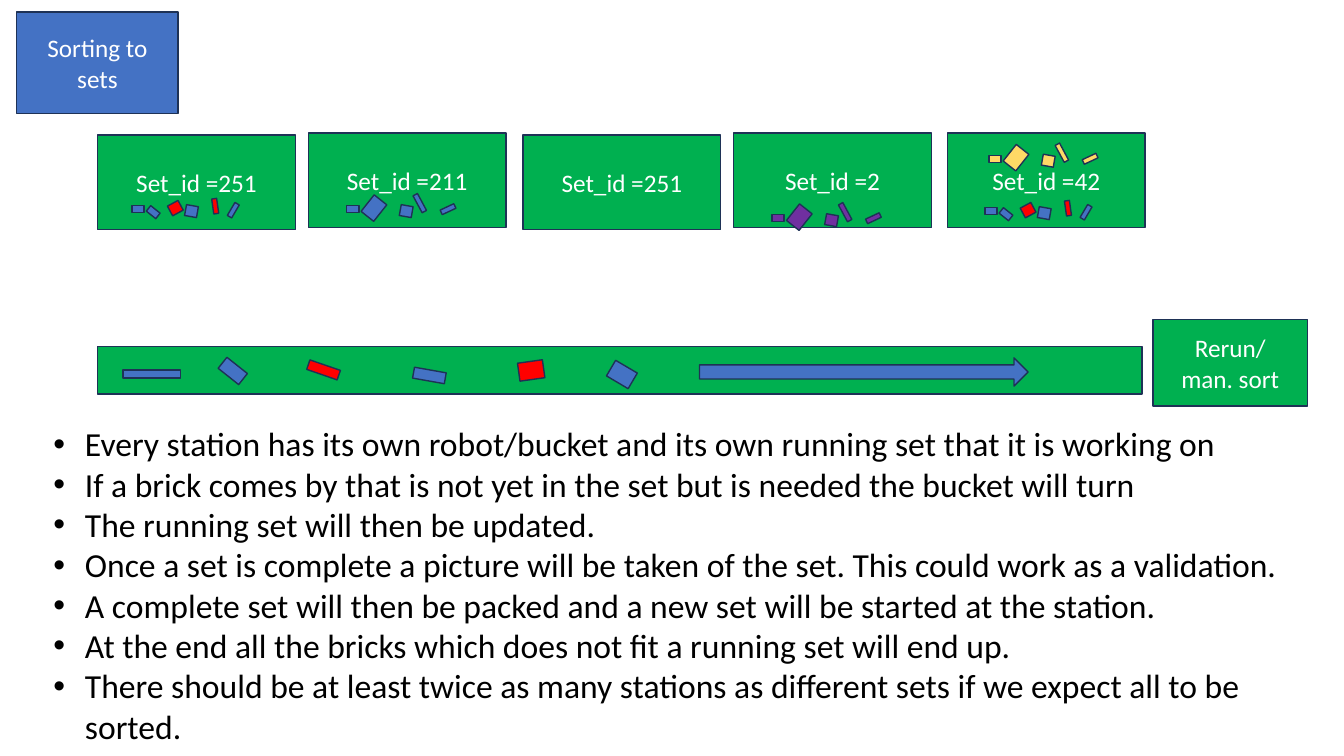
"""Build the slide on sorting bricks to sets."""
from pptx import Presentation
from pptx.dml.color import RGBColor
from pptx.enum.shapes import MSO_SHAPE
from pptx.enum.text import MSO_ANCHOR, MSO_AUTO_SIZE, PP_ALIGN
from pptx.util import Inches, Pt

RECT, ARROW = MSO_SHAPE.RECTANGLE, MSO_SHAPE.RIGHT_ARROW
LEFT, CENTER = PP_ALIGN.LEFT, PP_ALIGN.CENTER
TOP, MIDDLE = MSO_ANCHOR.TOP, MSO_ANCHOR.MIDDLE
FIXED = MSO_AUTO_SIZE.NONE

THEME = {
    "blue": "4472C4", "green": "00B050", "red": "FF0000", "gold": "FFD966",
    "plum": "7030A0", "edge": "1E3256", "white": "FFFFFF", "black": "000000",
    "font": "Calibri", "label": Pt(18), "list": Pt(24), "line": Pt(1),
}
COLS, ROWS = 160, 90
CELL = Inches(1) / 12


def write(shape, text, size="label", color="white", align=CENTER, anchor=MIDDLE, indent=0):
    frame = shape.text_frame
    frame.text = text
    frame.word_wrap = True
    frame.auto_size = FIXED
    frame.vertical_anchor = anchor
    for para in frame.paragraphs:
        para.alignment = align
        para.space_before = Pt(0)
        para.line_spacing = 1.0
        if indent:
            props = para._p.get_or_add_pPr()
            props.set("marL", str(int(indent * CELL)))
            props.set("indent", str(int(-indent * CELL)))
        para.font.name = THEME["font"]
        para.font.size = THEME[size]
        para.font.color.rgb = RGBColor.from_string(THEME[color])


def place(shape, box, fill=None, turn=0):
    shape.left, shape.top, shape.width, shape.height = (int(n * CELL) for n in box)
    shape.rotation = turn
    if fill:
        shape.fill.solid()
        shape.fill.fore_color.rgb = RGBColor.from_string(THEME[fill])
        shape.line.color.rgb = RGBColor.from_string(THEME["edge"])
        shape.line.width = THEME["line"]
    return shape


deck = Presentation()
deck.slide_width, deck.slide_height = int(COLS * CELL), int(ROWS * CELL)
slide = deck.slides.add_slide(deck.slide_layouts[1])
shapes = slide.shapes

title = place(shapes.title, (2, 1.44, 19.2, 12.1), "blue")
write(title, "Sorting to sets")

POINTS = [
    "Every station has its own robot/bucket and its own running set that it is working on",
    "If a brick comes by that is not yet in the set but is needed the bucket will turn",
    "The running set will then be updated.",
    "Once a set is complete a picture will be taken of the set. This could work as a validation.",
    "A complete set will then be packed and a new set will be started at the station.",
    "At the end all the bricks which does not fit a running set will end up.",
    "There should be at least twice as many stations as different sets if we expect all to be sorted.",
]
body = place(slide.placeholders[1], (5.16, 49.8, 150.48, 39.96))
write(body, "\n".join(POINTS), size="list", color="black", align=LEFT, anchor=TOP, indent=3.75)

BLOCKS = [
    (RECT, (11.64, 41.28, 124.32, 5.64), "green", ""),
    (ARROW, (83.28, 42.6, 39.12, 3.36), "blue", ""),
    (RECT, (137.28, 38.04, 18.36, 10.32), "green", "Rerun/\nman. sort"),
]
STATIONS = [(11.64, 16.08, 251), (36.72, 15.84, 211), (62.28, 16.08, 251),
            (87.36, 15.84, 2), (112.8, 15.84, 42)]
for left, top, number in STATIONS:
    BLOCKS.append((RECT, (left, top, 23.52, 11.28), "green", f"Set_id ={number}"))

for kind, box, fill, text in BLOCKS:
    block = place(shapes.add_shape(kind, 0, 0, 1, 1), box, fill)
    block.shadow.inherit = False
    if text:
        write(block, text)

MIXED = [
    (0, 0, 1.44, 0.84, 0, "blue"), (1.8, 0.36, 1.44, 0.84, 38.4, "blue"),
    (4.44, -0.36, 1.44, 1.32, 331.7, "red"), (6.36, 0, 1.44, 1.32, 10.1, "blue"),
    (9, -0.24, 1.8, 0.6, 262, "red"), (11.16, 0.24, 1.8, 0.6, 300.5, "blue"),
]
PLAIN = [
    (0, 0, 1.44, 0.84, 0, None), (2.28, -0.96, 1.92, 2.52, 38.4, None),
    (8.4, -1.44, 0.6, 2.28, 331.7, None), (6.36, 0, 1.44, 1.32, 10.1, None),
    (11.16, 0.12, 1.8, 0.6, 334.9, None),
]
BELT = [
    (0, 0, 6.84, 0.96, 0, "blue"), (11.52, -0.72, 3.12, 1.68, 38.4, "blue"),
    (21.96, -0.6, 3.84, 1.2, 19, "red"), (34.56, 0, 3.84, 1.32, 10.1, "blue"),
    (47.52, -1.44, 2.16, 3, 262, "red"), (58.32, -0.96, 2.16, 3, 300.5, "blue"),
]
PILES = [
    (15.72, 24.48, MIXED, None), (41.28, 24.48, PLAIN, "blue"),
    (14.64, 44.04, BELT, None), (117.72, 18.48, PLAIN, "gold"),
    (117.24, 24.72, MIXED, None), (91.92, 25.56, PLAIN, "plum"),
]
for left, top, bricks, tint in PILES:
    pile = [
        place(shapes.add_shape(RECT, 0, 0, 1, 1), (left + x, top + y, wide, high), tint or fill, turn)
        for x, y, wide, high, turn, fill in bricks
    ]
    for brick in pile:
        brick.shadow.inherit = False
    shapes.add_group_shape(pile)

deck.save("out.pptx")
